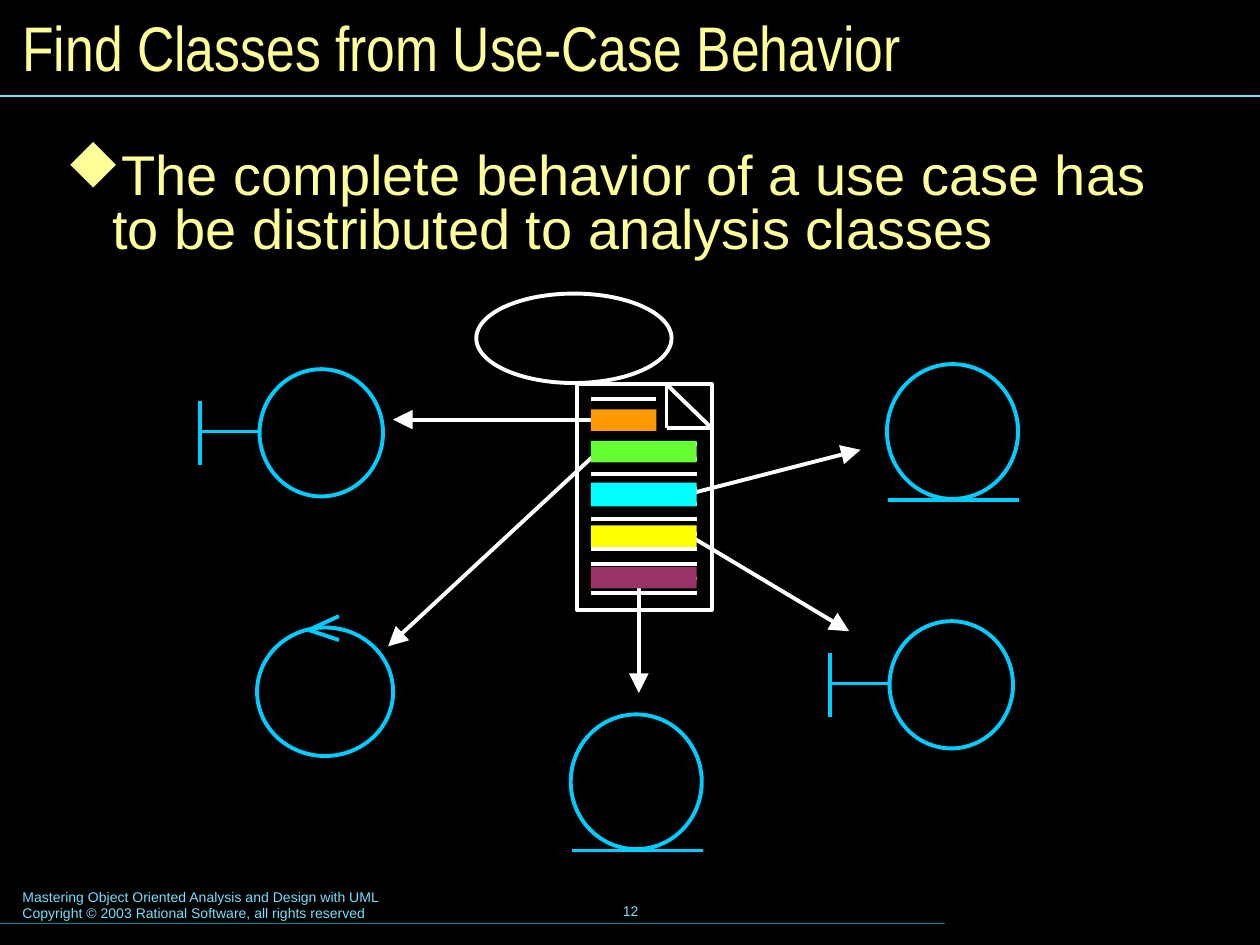
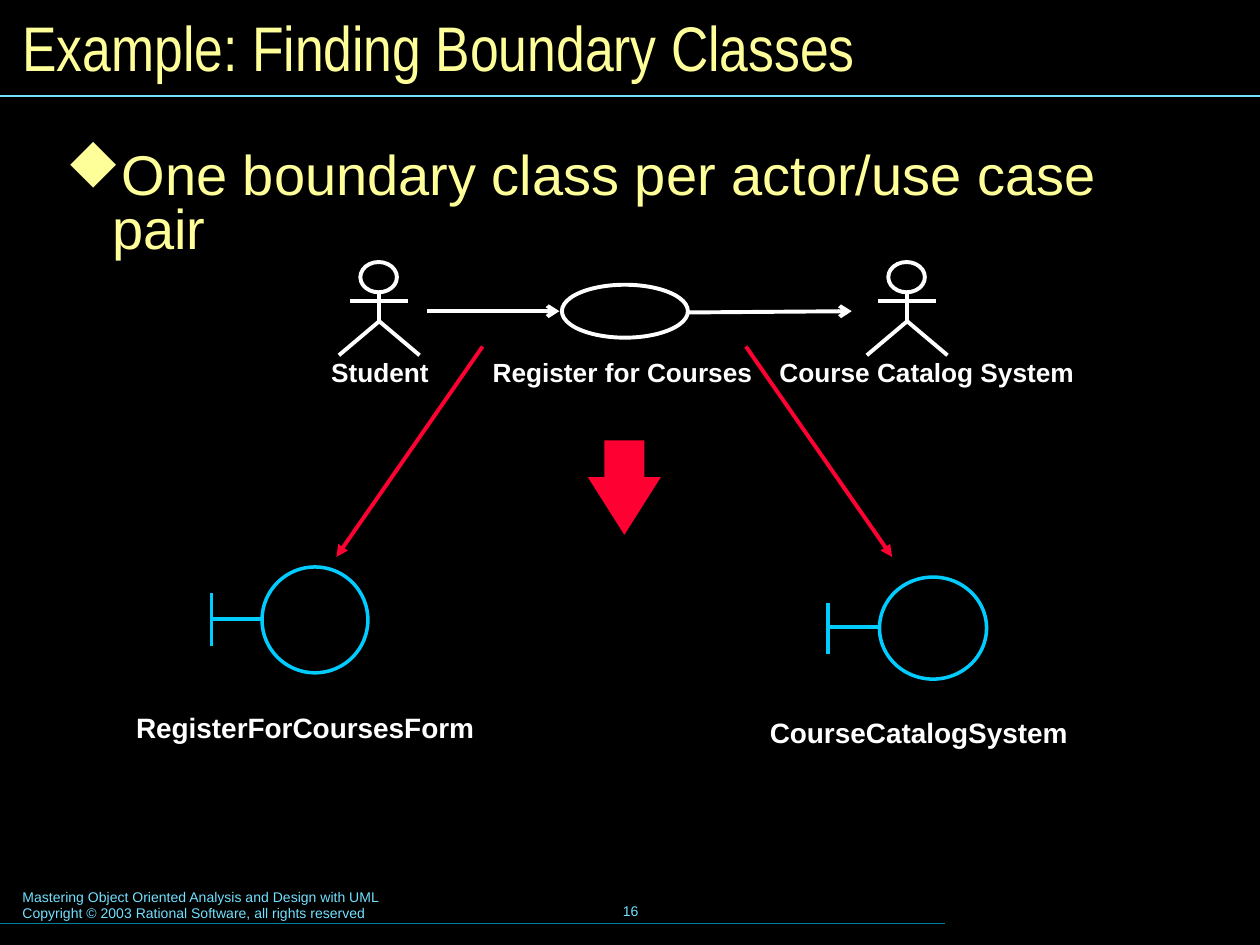
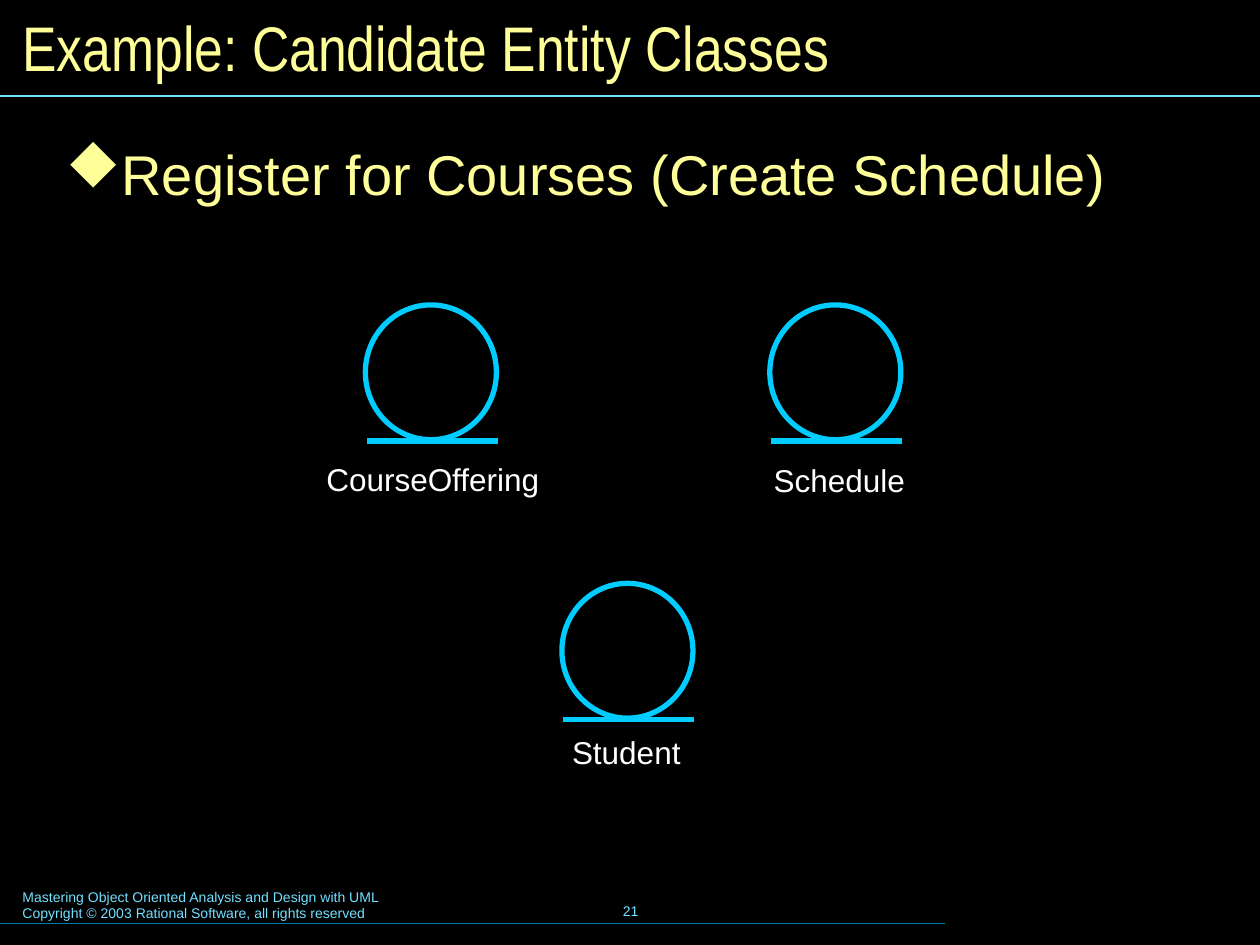
"""Build three slides on finding analysis classes from use cases."""
from dataclasses import dataclass

from lxml import etree
from pptx import Presentation
from pptx.dml.color import RGBColor
from pptx.enum.shapes import MSO_CONNECTOR, MSO_SHAPE
from pptx.enum.text import MSO_ANCHOR, PP_ALIGN
from pptx.oxml.ns import qn
from pptx.util import Inches, Pt

STRAIGHT = MSO_CONNECTOR.STRAIGHT
OVAL, RECT, RIGHT_ARROW = MSO_SHAPE.OVAL, MSO_SHAPE.RECTANGLE, MSO_SHAPE.RIGHT_ARROW
LEFT, CENTER = PP_ALIGN.LEFT, PP_ALIGN.CENTER
TOP, MIDDLE = MSO_ANCHOR.TOP, MSO_ANCHOR.MIDDLE


@dataclass(frozen=True)
class Theme:
    background: str = "000000"
    heading: str = "FFFF99"
    ink: str = "FFFFFF"
    symbol: str = "00CCFF"
    accent: str = "FF0033"
    footer: str = "73E1FF"
    footer_rule: str = "007E9F"
    font: str = "Arial"
    title_font: str = "Arial Narrow"
    bullet_font: str = "Wingdings"
    diamond: str = "u"
    title_size: int = 36
    body_size: int = 32
    entity_size: int = 18
    class_size: int = 16
    actor_size: int = 15
    footer_size: int = 8
    rule: float = 1
    stroke: float = 2.25
    boundary_stroke: float = 2
    entity_stroke: float = 3


THEME = Theme()

FOOTER = ["Mastering Object Oriented Analysis and Design with UML",
          "Copyright © 2003 Rational Software, all rights reserved"]
BEHAVIOR = {
    "title": "Find Classes from Use-Case Behavior", "page": "12",
    "point": "The complete behavior of a use case has to be distributed to analysis classes",
}
BOUNDARY = {
    "title": "Example: Finding Boundary Classes", "page": "16",
    "point": "One boundary class per actor/use case pair",
}
ENTITY = {
    "title": "Example: Candidate Entity Classes", "page": "21",
    "point": "Register for Courses (Create Schedule)",
}

PASSAGES = [
    (3.25, 0.52, 0.17, "FF9900"), (3.5, 0.84, 0.17, "66FF33"), (3.83, 0.84, 0.19, "00FFFF"),
    (4.17, 0.84, 0.17, "FFFF00"), (4.5, 0.84, 0.17, "993366"),
]
DISTRIBUTION = [
    ((4.81, 3.33), (3.12, 3.33)), ((5.47, 3.92), (6.83, 3.57)),
    ((5.07, 4.5), (5.07, 5.5)), ((5.47, 4.25), (6.74, 5.01)),
    ((4.72, 3.61), (3.08, 5.13)),
]
BEHAVIOR_ENTITIES = [(7.04, 2.89), (4.53, 5.67)]
BEHAVIOR_BOUNDARIES = [(2.06, 2.93, 0.98, 1.01), (7.06, 4.93, 0.98, 1.01)]

ACTORS = [3.01, 7.2]
PARTICIPANTS = [("Student", 1.67, 2.69), ("Register for Courses", 3.69, 2.5),
                ("Course Catalog System", 6.01, 2.69)]
ASSOCIATIONS = [((3.39, 2.47), (4.44, 2.47)), ((5.46, 2.48), (6.76, 2.47))]
DERIVATIONS = [((3.83, 2.75), (2.67, 4.42)), ((5.92, 2.75), (7.08, 4.42))]
BOUNDARY_CLASSES = [
    ("RegisterForCoursesForm", (1.08, 5.64, 2.9, 0.27), (2.08, 4.5, 0.84, 0.84)),
    ("CourseCatalogSystem", (6.11, 5.68, 2.6, 0.27), (6.98, 4.58, 0.85, 0.81)),
]
ENTITY_CLASSES = [
    ("Student", (4.54, 5.82, 1.1, 0.3), (4.46, 4.63)),
    ("Schedule", (6.14, 3.66, 1.3, 0.3), (6.11, 2.42)),
    ("CourseOffering", (2.59, 3.65, 1.9, 0.3), (2.9, 2.42)),
]


def rgb(color):
    return RGBColor.from_string(color)


def add_text(slide, lines, box, *, size, color=THEME.ink, font=THEME.font, bold=False,
             align=LEFT, anchor=TOP, insets=(0.1, 0.05), spacing=None, bullet=None):
    frame = slide.shapes.add_textbox(*map(Inches, box)).text_frame
    frame.word_wrap = True
    frame.vertical_anchor = anchor
    frame.margin_left = frame.margin_right = Inches(insets[0])
    frame.margin_top = frame.margin_bottom = Inches(insets[1])
    for index, line in enumerate(lines):
        paragraph = frame.paragraphs[0] if index == 0 else frame.add_paragraph()
        if bullet:
            properties = paragraph._p.get_or_add_pPr()
            properties.set("marL", str(Inches(0.37)))
            properties.set("indent", str(-Inches(0.37)))
            tint = etree.SubElement(properties, qn("a:buClr"))
            etree.SubElement(tint, qn("a:srgbClr"), val=color)
            etree.SubElement(properties, qn("a:buFont"), typeface=THEME.bullet_font,
                             pitchFamily="2", charset="2")
            etree.SubElement(properties, qn("a:buChar"), char=bullet)
        paragraph.alignment = align
        paragraph.line_spacing = spacing
        run = paragraph.add_run()
        run.text = line
        run.font.name, run.font.size, run.font.bold = font, Pt(size), bold
        run.font.color.rgb = rgb(color)


def style(shape, fill, line, width):
    shape.shadow.inherit = False
    if fill:
        shape.fill.solid()
        shape.fill.fore_color.rgb = rgb(fill)
    else:
        shape.fill.background()
    if line:
        shape.line.color.rgb = rgb(line)
        shape.line.width = Pt(width)
    else:
        shape.line.fill.background()
    return shape


def add_shape(slide, kind, box, fill=None, line=None, width=THEME.stroke):
    return style(slide.shapes.add_shape(kind, *map(Inches, box)), fill, line, width)


def add_line(slide, start, end, color=THEME.ink, width=THEME.stroke, head=None, head_size="med"):
    line = slide.shapes.add_connector(STRAIGHT, *map(Inches, (*start, *end)))
    line.line.color.rgb = rgb(color)
    line.line.width = Pt(width)
    properties = line.element.spPr
    if head:
        etree.SubElement(properties.find(qn("a:ln")), qn("a:tailEnd"),
                         type=head, w=head_size, len=head_size)
    etree.SubElement(properties, qn("a:effectLst"))


def add_entity(slide, left, top, width=THEME.stroke):
    add_shape(slide, OVAL, (left, top, 1.04, 1.07), line=THEME.symbol, width=width)
    base = top + 1.08
    add_line(slide, (left + 0.01, base), (left + 1.05, base), THEME.symbol, width)


def add_boundary(slide, box, width=THEME.stroke):
    left, top, across, down = box
    add_shape(slide, OVAL, box, line=THEME.symbol, width=width)
    bar, middle = left - 0.48 * across, top + 0.49 * down
    add_line(slide, (bar, top + 0.25 * down), (bar, top + 0.75 * down), THEME.symbol, width)
    add_line(slide, (bar, middle), (left, middle), THEME.symbol, width)


def add_control(slide, left, top):
    add_shape(slide, OVAL, (left, top, 1.08, 1.02), line=THEME.symbol)
    for rise in (-0.09, 0.1):
        add_line(slide, (left + 0.65, top + rise), (left + 0.41, top + 0.02), THEME.symbol)


def add_actor(slide, center):
    add_shape(slide, OVAL, (center - 0.15, 2.08, 0.29, 0.24), line=THEME.ink)
    add_line(slide, (center, 2.33), (center, 2.55))
    add_line(slide, (center - 0.23, 2.39), (center + 0.23, 2.39))
    foot = Inches(2.82)
    legs = slide.shapes.build_freeform(Inches(center - 0.32), foot)
    legs.add_line_segments([(Inches(center), Inches(2.55)), (Inches(center + 0.32), foot)],
                           close=False)
    style(legs.convert_to_shape(), None, THEME.ink, THEME.stroke)


def add_document(slide):
    left, top, right, fold, corner = 4.58, 3.05, 5.65, 5.29, 3.4
    add_shape(slide, RECT, (left, top, right - left, 1.79), line=THEME.ink)
    ends = [(fold, top), (right, corner), (fold, corner)]
    for index, start in enumerate(ends):
        add_line(slide, start, ends[index - 1])
    first, last, count = 3.17, 4.71, 14
    for row in range(count):
        level = first + row * (last - first) / (count - 1)
        add_line(slide, (4.69, level), (5.21 if row < 3 else 5.53, level))


def start_slide(deck, content):
    slide = deck.slides.add_slide(deck.slide_layouts[6])
    slide.background.fill.solid()
    slide.background.fill.fore_color.rgb = rgb(THEME.background)
    add_text(slide, FOOTER, (0.08, 7, 5.1, 0.37), size=THEME.footer_size, color=THEME.footer)
    add_text(slide, [content["page"]], (3.42, 6.98, 3.17, 0.5), size=THEME.footer_size,
             color=THEME.footer, align=CENTER, anchor=MIDDLE)
    add_line(slide, (0, 7.33), (7.5, 7.33), THEME.footer_rule, THEME.rule)
    add_line(slide, (0, 0.76), (10, 0.76), THEME.footer, THEME.rule)
    add_text(slide, [content["title"]], (0.08, 0.08, 9.84, 0.58), size=THEME.title_size,
             color=THEME.heading, font=THEME.title_font, anchor=MIDDLE)
    add_text(slide, [content["point"]], (0.4, 1.15, 9.29, 5.52), size=THEME.body_size,
             color=THEME.heading, insets=(0.12, 0.06), spacing=0.8, bullet=THEME.diamond)
    return slide


def build_behavior(deck):
    slide = start_slide(deck, BEHAVIOR)
    add_shape(slide, OVAL, (3.78, 2.33, 1.55, 0.71), line=THEME.ink)
    add_document(slide)
    for start, end in DISTRIBUTION:
        add_line(slide, start, end, head="triangle", head_size="lg")
    for top, width, height, color in PASSAGES:
        add_shape(slide, RECT, (4.69, top, width, height), fill=color)
    for place in BEHAVIOR_ENTITIES:
        add_entity(slide, *place)
    for box in BEHAVIOR_BOUNDARIES:
        add_boundary(slide, box)
    add_control(slide, 2.04, 4.98)


def build_boundary(deck):
    slide = start_slide(deck, BOUNDARY)
    for center in ACTORS:
        add_actor(slide, center)
    add_shape(slide, OVAL, (4.46, 2.26, 1, 0.42), line=THEME.ink)
    for name, left, width in PARTICIPANTS:
        add_text(slide, [name], (left, 2.78, width, 0.35), size=THEME.actor_size,
                 bold=True, align=CENTER)
    for start, end in ASSOCIATIONS:
        add_line(slide, start, end, head="arrow")
    for start, end in DERIVATIONS:
        add_line(slide, start, end, THEME.accent, head="triangle")
    result = add_shape(slide, RIGHT_ARROW, (4.58, 3.58, 0.75, 0.58), fill=THEME.accent)
    result.rotation = 90
    result.adjustments[0], result.adjustments[1] = 0.55, 0.79
    for name, label_box, symbol_box in BOUNDARY_CLASSES:
        add_boundary(slide, symbol_box, THEME.boundary_stroke)
        add_text(slide, [name], label_box, size=THEME.class_size, bold=True, insets=(0, 0))


def build_entity(deck):
    slide = start_slide(deck, ENTITY)
    for name, label_box, place in ENTITY_CLASSES:
        add_entity(slide, *place, THEME.entity_stroke)
        add_text(slide, [name], label_box, size=THEME.entity_size, insets=(0, 0))


def main():
    deck = Presentation()
    deck.slide_width, deck.slide_height = Inches(10), Inches(7.5)
    for build in (build_behavior, build_boundary, build_entity):
        build(deck)
    deck.save("out.pptx")


if __name__ == "__main__":
    main()
